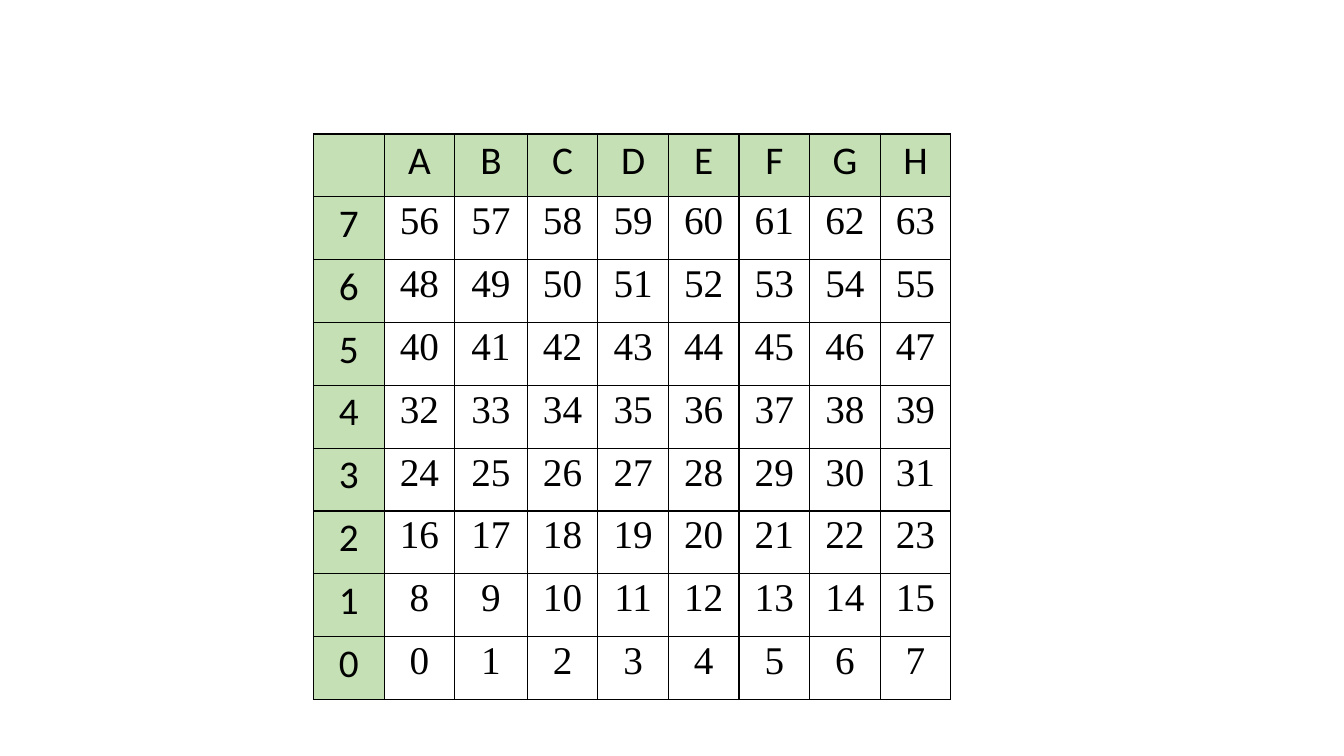
from lxml.etree import SubElement
from pptx import Presentation
from pptx.dml.color import RGBColor
from pptx.enum.text import PP_ALIGN
from pptx.oxml.ns import qn
from pptx.util import Inches, Pt

FILES = "ABCDEFGH"
RANKS = range(7, -1, -1)
board_rows = [["", *FILES]] + [
    [rank, *range(rank * len(FILES), (rank + 1) * len(FILES))] for rank in RANKS
]

BLACK = RGBColor(0, 0, 0)
WHITE = RGBColor(255, 255, 255)
GREEN = RGBColor(0xC5, 0xE0, 0xB4)
LABEL = {"font": "Calibri", "fill": GREEN}
SQUARE = {"font": "Times New Roman", "fill": WHITE}
MARGINS = {
    "margin_left": Inches(0.07),
    "margin_right": Inches(0.07),
    "margin_top": 0,
    "margin_bottom": 0,
}
PARAGRAPH = {"alignment": PP_ALIGN.CENTER, "line_spacing": 1.07}

LEFT, TOP, WIDTH, HEIGHT = Inches(3.11), Inches(1.33), Inches(6.31), Inches(5.61)
COLUMN_WIDTH, WIDE_COLUMN, WIDE_WIDTH = Inches(0.7), 3, Inches(0.72)


def apply(target, values):
    for name, value in values.items():
        setattr(target, name, value)


def add_borders(cell):
    properties = cell._tc.get_or_add_tcPr()
    for side in ("lnL", "lnR", "lnT", "lnB"):
        line = SubElement(properties, qn(f"a:{side}"), w=str(Pt(1)))
        fill = SubElement(line, qn("a:solidFill"))
        SubElement(fill, qn("a:srgbClr"), val=str(BLACK))


def fill_cell(cell, content, look):
    apply(cell, MARGINS)
    add_borders(cell)
    cell.fill.solid()
    cell.fill.fore_color.rgb = look["fill"]
    cell.text = str(content)
    paragraph = cell.text_frame.paragraphs[0]
    apply(paragraph, PARAGRAPH)
    apply(paragraph.font, {"size": Pt(28), "name": look["font"]})
    for run in paragraph.runs:
        apply(run.font, {"size": Pt(28), "name": look["font"]})
        run.font.color.rgb = BLACK


deck = Presentation()
apply(deck, {"slide_width": Inches(13.33), "slide_height": Inches(7.5)})
slide = deck.slides.add_slide(deck.slide_layouts[6])
board = slide.shapes.add_table(
    len(board_rows), len(board_rows[0]), LEFT, TOP, WIDTH, HEIGHT
).table
apply(board, {"first_row": False, "horz_banding": False})

for number, column in enumerate(board.columns):
    column.width = WIDE_WIDTH if number == WIDE_COLUMN - 1 + 1 - 1 else COLUMN_WIDTH

for row, contents in enumerate(board_rows):
    for column, content in enumerate(contents):
        look = SQUARE if row and column else LABEL
        fill_cell(board.cell(row, column), content, look)

deck.save("out.pptx")
